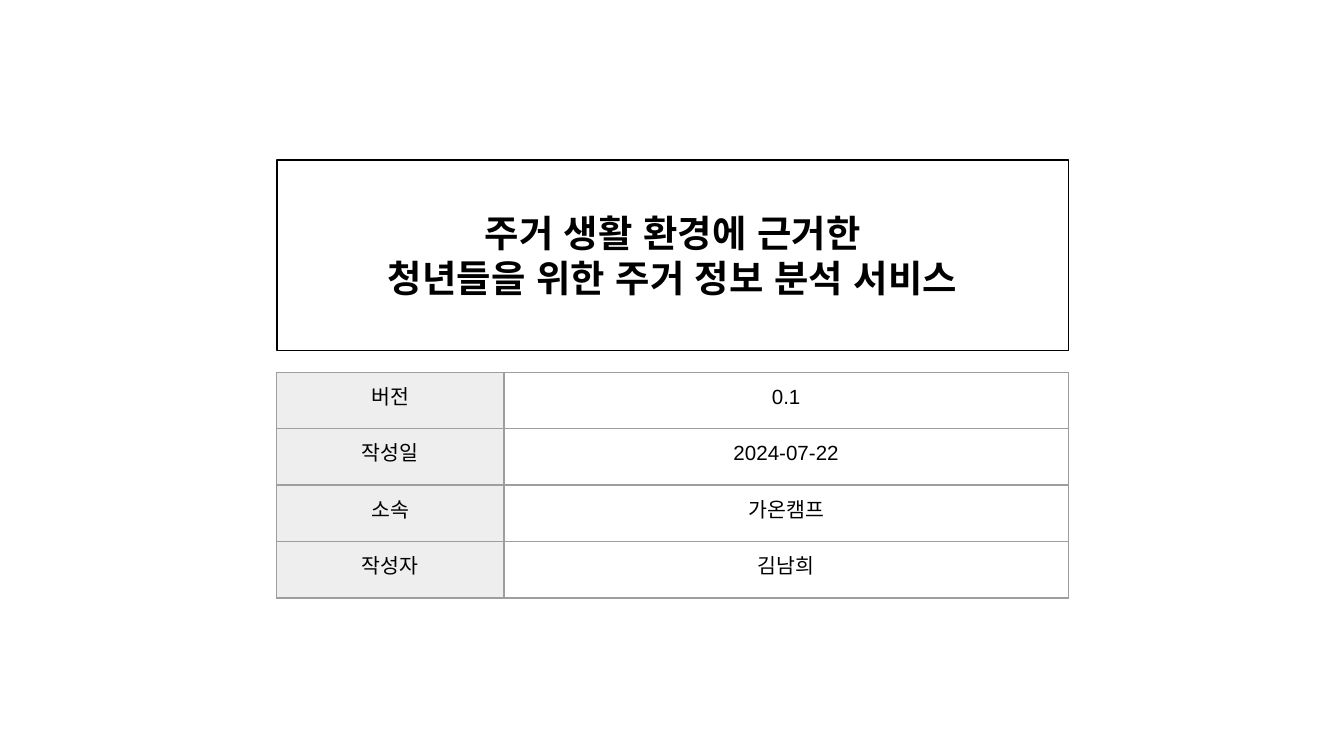
from dataclasses import dataclass

from lxml.etree import SubElement
from pptx import Presentation
from pptx.dml.color import RGBColor
from pptx.enum.shapes import MSO_SHAPE as Shape
from pptx.enum.text import MSO_ANCHOR as Anchor, PP_ALIGN as Align
from pptx.oxml.ns import qn
from pptx.util import Inches, Pt

COLORS = {"text": "000000", "outline": "000000", "paper": "FFFFFF",
          "label": "EEEEEE", "border": "9E9E9E"}
SLIDE_WIDTH = Inches(10)
SLIDE_HEIGHT = SLIDE_WIDTH * 9 // 16
LEFT, WIDTH = 2.06, 5.89
TITLE_TOP, TITLE_HEIGHT = 1.19, 1.42
TABLE_TOP, ROW_HEIGHT = 2.77, 0.42
LABEL_WIDTH = 1.69
INSET = Inches(0.1)
LINE_WIDTH = Pt(0.75)
FONT_NAME = "Arial"
MARGINS = {f"margin_{side}": INSET for side in ("left", "right", "top", "bottom")}
TITLE_FONT = {"name": FONT_NAME, "size": Pt(20), "bold": True}
CELL_FONT = {"name": FONT_NAME, "size": Pt(11), "bold": False}


@dataclass(frozen=True)
class DocumentField:
    label: str
    value: str


TITLE_LINES = ["주거 생활 환경에 근거한", "청년들을 위한 주거 정보 분석 서비스"]
FIELDS = [
    DocumentField("버전", "0.1"),
    DocumentField("작성일", "2024-07-22"),
    DocumentField("소속", "가온캠프"),
    DocumentField("작성자", "김남희"),
]


def color(name: str) -> RGBColor:
    return RGBColor.from_string(COLORS[name])


def apply_format(target, values: dict) -> None:
    for name, value in values.items():
        setattr(target, name, value)


def write_lines(text_frame, lines: list[str], font_format: dict) -> None:
    text_frame.text = "\n".join(lines)
    for paragraph in text_frame.paragraphs:
        paragraph.alignment = Align.CENTER
        for run in paragraph.runs:
            apply_format(run.font, font_format)
            run.font.color.rgb = color("text")
            for script in ("ea", "cs"):
                SubElement(run._r.get_or_add_rPr(), qn(f"a:{script}"), typeface=FONT_NAME)


def add_title(slide, lines: list[str]) -> None:
    shape = slide.shapes.add_shape(Shape.RECTANGLE, Inches(LEFT), Inches(TITLE_TOP),
                                   Inches(WIDTH), Inches(TITLE_HEIGHT))
    shape.shadow.inherit = False
    shape.fill.solid()
    shape.fill.fore_color.rgb = color("paper")
    shape.line.color.rgb = color("outline")
    shape.line.width = LINE_WIDTH
    apply_format(shape.text_frame, {**MARGINS, "word_wrap": True,
                                    "vertical_anchor": Anchor.MIDDLE})
    write_lines(shape.text_frame, lines, TITLE_FONT)


def add_borders(cell) -> None:
    properties = cell._tc.get_or_add_tcPr()
    for side in ("lnL", "lnR", "lnT", "lnB"):
        border = SubElement(properties, qn(f"a:{side}"), w=str(int(LINE_WIDTH)))
        fill = SubElement(border, qn("a:solidFill"))
        SubElement(fill, qn("a:srgbClr"), val=COLORS["border"])


def fill_cell(cell, text: str, is_label: bool) -> None:
    apply_format(cell, {**MARGINS, "vertical_anchor": Anchor.TOP})
    add_borders(cell)
    if is_label:
        cell.fill.solid()
        cell.fill.fore_color.rgb = color("label")
    else:
        cell.fill.background()
    write_lines(cell.text_frame, [text], CELL_FONT)


def add_field_table(slide, fields: list[DocumentField]) -> None:
    table = slide.shapes.add_table(len(fields), 2, Inches(LEFT), Inches(TABLE_TOP),
                                   Inches(WIDTH), Inches(ROW_HEIGHT * len(fields))).table
    apply_format(table, {"first_row": False, "horz_banding": False})
    table.columns[0].width = Inches(LABEL_WIDTH)
    table.columns[1].width = Inches(WIDTH - LABEL_WIDTH)
    for row, field in enumerate(fields):
        table.rows[row].height = Inches(ROW_HEIGHT)
        fill_cell(table.cell(row, 0), field.label, True)
        fill_cell(table.cell(row, 1), field.value, False)


def main() -> None:
    presentation = Presentation()
    presentation.slide_width = SLIDE_WIDTH
    presentation.slide_height = SLIDE_HEIGHT
    slide = presentation.slides.add_slide(presentation.slide_layouts[6])
    add_title(slide, TITLE_LINES)
    add_field_table(slide, FIELDS)
    presentation.save("out.pptx")


if __name__ == "__main__":
    main()
